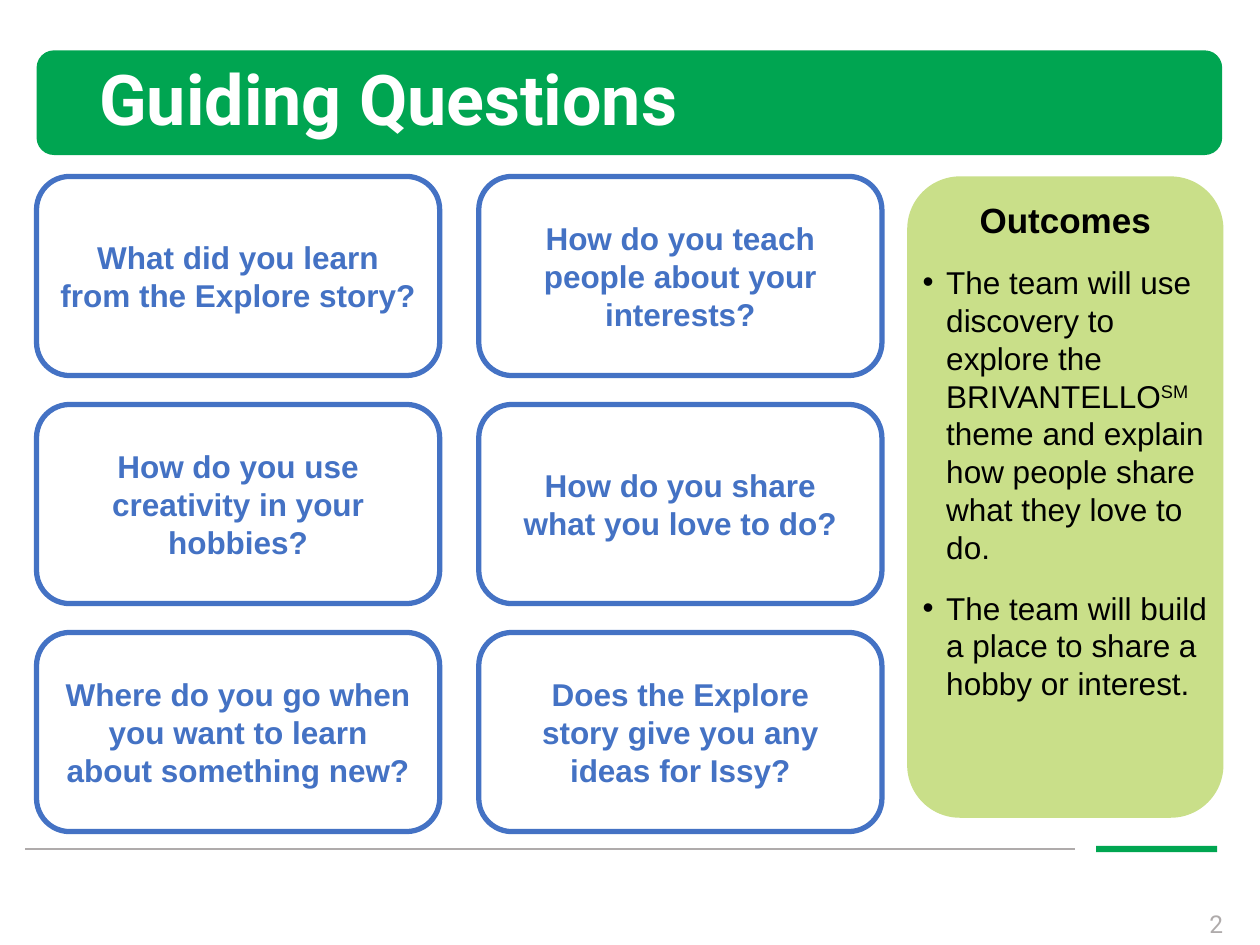
from itertools import product

from lxml.etree import SubElement
from pptx import Presentation
from pptx.dml.color import RGBColor
from pptx.enum.shapes import MSO_CONNECTOR as Line, MSO_SHAPE as Shape
from pptx.enum.text import MSO_ANCHOR as Anchor, PP_ALIGN as Align
from pptx.oxml.ns import qn
from pptx.util import Pt

GREEN, LIME, BLUE, GRAY = "00A551", "C9DF89", "4472C4", "AFABAB"
BLACK, WHITE = "000000", "FFFFFF"
LEFT, TOP = 20.9, 100.8
BOX_W, BOX_H = 230.4, 113.8
STEP_X, STEP_Y = 252.7, 130.3

ASKS = [
    ["What did you learn from the Explore story?"],
    ["How do you teach people about your interests?"],
    ["How do you use creativity in your", "hobbies?"],
    ["How do you share", "what you love to do?"],
    ["Where do you go when", "you want to learn", "about something new?"],
    ["Does the Explore", "story give you any ideas for Issy?"],
]
GOALS = [
    [("The team will use discovery to explore the BRIVANTELLO", 0),
     ("SM ", 30000),
     ("theme and explain how people share what they love to do.", 0)],
    [("The team will build a place to share a hobby or interest.", 0)],
]
ASK = {"name": "Arial", "size": Pt(18), "bold": True}
HEAD = {"name": "Arial", "size": Pt(20), "bold": True}
GOAL = {"name": "Arial", "size": Pt(18), "bold": False}
TITLE = {"name": "Roboto", "size": Pt(40), "bold": True}
PAGE = {"name": "Roboto", "size": Pt(14)}


def paint(color, value):
    color.rgb = RGBColor.from_string(value)


def apply(item, values):
    for key, value in values.items():
        setattr(item, key, value)


def add_run(para, text, font, color):
    run = para.add_run()
    run.text = text
    apply(run.font, font)
    paint(run.font.color, color)
    return run


def add_para(frame, first, **style):
    para = frame.paragraphs[0] if first else frame.add_paragraph()
    apply(para, style)
    return para


def add_block(slide, kind, place, fill, edge=None):
    block = slide.shapes.add_shape(kind, *map(Pt, place))
    block.shadow.inherit = False
    block.fill.solid()
    paint(block.fill.fore_color, fill)
    if edge:
        paint(block.line.color, edge)
        block.line.width = Pt(3)
    else:
        block.line.fill.background()
    return block


def add_label(slide, place, text, font, color, anchor, **style):
    frame = slide.shapes.add_textbox(*map(Pt, place)).text_frame
    apply(frame, {"word_wrap": True, "vertical_anchor": anchor})
    add_run(add_para(frame, True, **style), text, font, color)


def add_rule(slide, start, end, color):
    rule = slide.shapes.add_connector(Line.STRAIGHT, *map(Pt, start + end))
    paint(rule.line.color, color)
    rule.line.width = Pt(1)
    SubElement(rule.element.spPr, qn("a:effectLst"))


def add_ask(slide, row, col, lines):
    place = LEFT + col * STEP_X, TOP + row * STEP_Y, BOX_W, BOX_H
    frame = add_block(slide, Shape.ROUNDED_RECTANGLE, place, WHITE, BLUE).text_frame
    apply(frame, {"word_wrap": True, "vertical_anchor": Anchor.MIDDLE})
    for i, text in enumerate(lines):
        para = add_para(frame, i == 0, alignment=Align.CENTER)
        add_run(para, text, ASK, BLUE)


def add_bullet(para):
    props = para._p.get_or_add_pPr()
    props.set("marL", str(Pt(13.5)))
    props.set("indent", str(Pt(-13.5)))
    SubElement(props, qn("a:buFont"), typeface="Arial")
    SubElement(props, qn("a:buChar"), char="•")


def add_goals(slide):
    place = 518.4, TOP, 180.7, 366.5
    frame = add_block(slide, Shape.ROUNDED_RECTANGLE, place, LIME).text_frame
    apply(frame, {"word_wrap": True, "vertical_anchor": Anchor.TOP,
                  "margin_left": 0, "margin_right": 0,
                  "margin_top": Pt(3.6), "margin_bottom": Pt(7.2)})
    gap = Pt(13.2)
    head = add_para(frame, True, alignment=Align.CENTER, space_after=gap)
    add_run(head, "Outcomes", HEAD, BLACK)
    for parts in GOALS:
        para = add_para(frame, False, alignment=Align.LEFT, space_after=gap)
        add_bullet(para)
        for text, lift in parts:
            run = add_run(para, text, GOAL, BLACK)
            if lift:
                run.font._element.set("baseline", str(lift))


def main():
    deck = Presentation()
    apply(deck, {"slide_width": Pt(720), "slide_height": Pt(540)})
    slide = deck.slides.add_slide(deck.slide_layouts[6])

    add_block(slide, Shape.RECTANGLE, (626.4, 483.3, 69.1, 3.6), "00A651")
    add_rule(slide, (14.4, 485.3), (614.2, 485.3), GRAY)
    add_block(slide, Shape.ROUNDED_RECTANGLE, (LEFT, 28.8, 677.5, 59.8), GREEN)
    add_label(slide, (684, 516.2, 28.1, 16.6), "2", PAGE, GRAY, Anchor.TOP)
    add_label(slide, (49.7, 28.8, 620.6, 59.8), "Guiding Questions",
              TITLE, WHITE, Anchor.MIDDLE, line_spacing=0.9)
    for (row, col), lines in zip(product(range(3), range(2)), ASKS):
        add_ask(slide, row, col, lines)
    add_goals(slide)
    deck.save("out.pptx")


if __name__ == "__main__":
    main()
